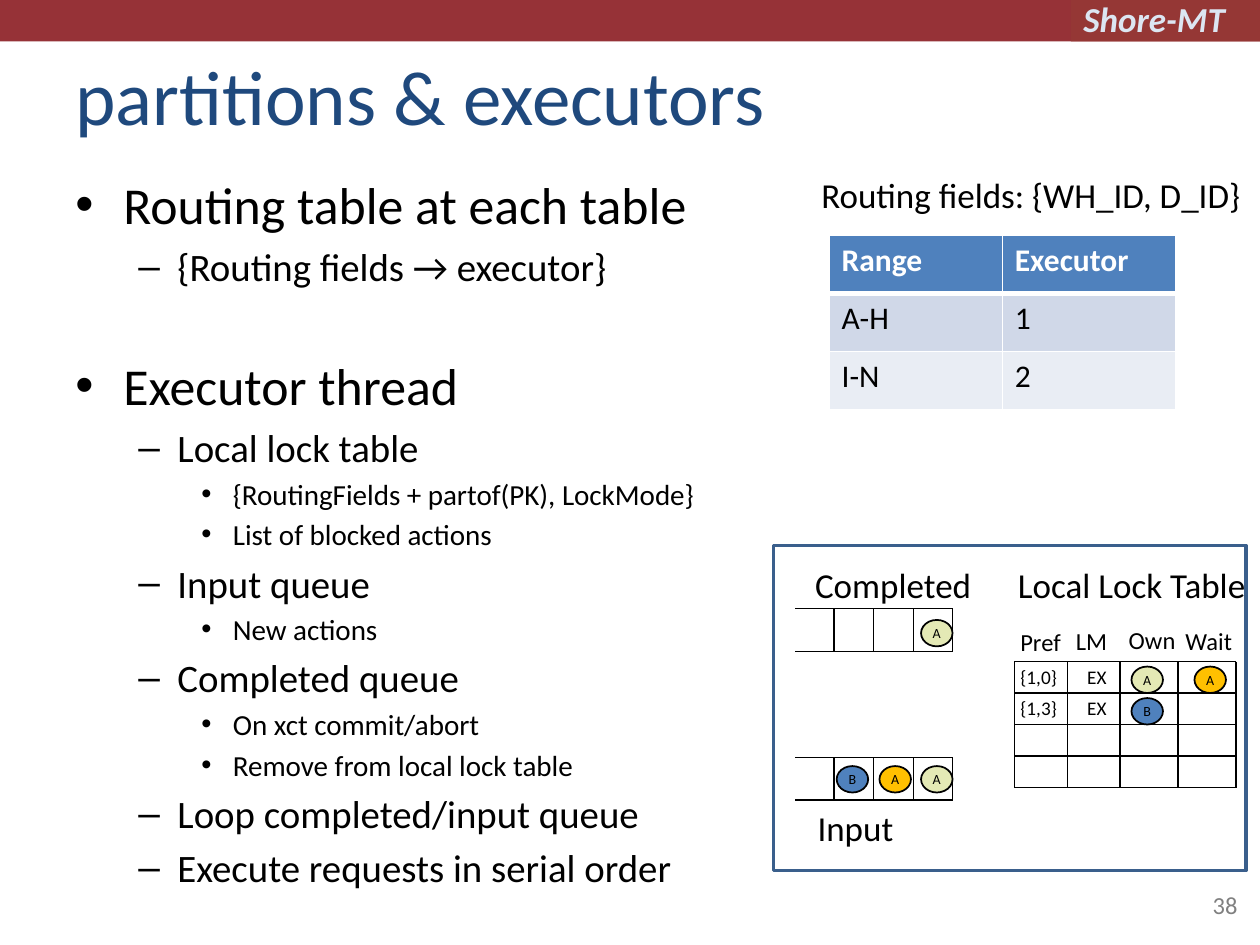
from pptx import Presentation
from pptx.dml.color import RGBColor
from pptx.enum.shapes import MSO_CONNECTOR, MSO_SHAPE
from pptx.enum.text import MSO_ANCHOR, PP_ALIGN
from pptx.oxml.ns import qn
from pptx.util import Inches, Pt
from lxml.etree import SubElement

GREEN, ORANGE, BLUE = "E4E9B5", "FFC000", "4F81BD"
BLACK, WHITE = "000000", "FFFFFF"

# Per outline level: bullet, size, left margin, hanging indent
LEVELS = [("•", 29.6, 0.38, 0.38), ("–", 22.2, 0.81, 0.31), ("•", 16.6, 1.25, 0.25)]
GROUP_GAP = 37

OUTLINE = [
    (0, "Routing table at each table"),
    (1, "{Routing fields → executor}"),
    (0, "Executor thread"),
    (1, "Local lock table"),
    (2, "{RoutingFields + partof(PK), LockMode}"),
    (2, "List of blocked actions"),
    (1, "Input queue"),
    (2, "New actions"),
    (1, "Completed queue"),
    (2, "On xct commit/abort"),
    (2, "Remove from local lock table"),
    (1, "Loop completed/input queue"),
    (1, "Execute requests in serial order"),
]


def color(hex_string):
    return RGBColor.from_string(hex_string)


class SlideBuilder:
    def __init__(self, slide, font="Calibri"):
        self.slide = slide
        self.font = font

    def add_run(self, paragraph, text, size, text_color=BLACK, bold=False, italic=False):
        run = paragraph.add_run()
        run.text = text
        run.font.name = self.font
        run.font.size = Pt(size)
        run.font.bold = bold
        run.font.italic = italic
        run.font.color.rgb = color(text_color)

    def add_text(self, text, left, top, width, height, size, text_color=BLACK, wrap=False,
                 anchor=MSO_ANCHOR.TOP, align=PP_ALIGN.LEFT, bold=False, italic=False):
        box = self.slide.shapes.add_textbox(
            Inches(left), Inches(top), Inches(width), Inches(height))
        frame = box.text_frame
        frame.word_wrap = wrap
        frame.vertical_anchor = anchor
        paragraph = frame.paragraphs[0]
        paragraph.alignment = align
        self.add_run(paragraph, text, size, text_color, bold, italic)

    def add_outline(self, items, left, top, width, height):
        box = self.slide.shapes.add_textbox(
            Inches(left), Inches(top), Inches(width), Inches(height))
        frame = box.text_frame
        frame.word_wrap = True
        for index, (level, text) in enumerate(items):
            bullet, size, margin, hanging = LEVELS[level]
            paragraph = frame.add_paragraph() if index else frame.paragraphs[0]
            paragraph.level = level
            properties = paragraph._p.get_or_add_pPr()
            properties.set("marL", str(Inches(margin)))
            properties.set("indent", str(-Inches(hanging)))
            SubElement(properties, qn("a:buFont"), typeface="Arial")
            SubElement(properties, qn("a:buChar"), char=bullet)
            if index:
                paragraph.space_before = Pt(GROUP_GAP if level == 0 else round(size * 0.2, 1))
            self.add_run(paragraph, text, size)

    def add_shape(self, kind, left, top, width, height, fill=None, line=None, line_width=1):
        shape = self.slide.shapes.add_shape(
            kind, Inches(left), Inches(top), Inches(width), Inches(height))
        shape.shadow.inherit = False
        if fill:
            shape.fill.solid()
            shape.fill.fore_color.rgb = color(fill)
        else:
            shape.fill.background()
        if line:
            shape.line.color.rgb = color(line)
            shape.line.width = Pt(line_width)
        else:
            shape.line.fill.background()
        return shape

    def add_action(self, label, left, top, fill):
        """Draw one action as a small labelled ellipse."""
        ellipse = self.add_shape(MSO_SHAPE.OVAL, left, top, 0.25, 0.21, fill, BLACK)
        frame = ellipse.text_frame
        frame.word_wrap = False
        frame.vertical_anchor = MSO_ANCHOR.MIDDLE
        paragraph = frame.paragraphs[0]
        paragraph.alignment = PP_ALIGN.CENTER
        self.add_run(paragraph, label, 8)

    def add_line(self, x1, y1, x2, y2):
        connector = self.slide.shapes.add_connector(
            MSO_CONNECTOR.STRAIGHT, Inches(x1), Inches(y1), Inches(x2), Inches(y2))
        connector.line.color.rgb = color(BLACK)
        connector.line.width = Pt(0.75)
        SubElement(connector._element.spPr, qn("a:effectLst"))

    def add_grid(self, left, columns, rows):
        """Rule a grid; a left edge outside columns stays open."""
        for y in rows:
            self.add_line(left, y, columns[-1], y)
        for x in columns:
            self.add_line(x, rows[0], x, rows[-1])

    def add_table(self, rows, left, top, column_width, row_height):
        table = self.slide.shapes.add_table(
            len(rows), len(rows[0]), Inches(left), Inches(top),
            Inches(column_width * len(rows[0])), Inches(row_height * len(rows))).table
        fills = [BLUE, "D0D8E8", "E9EDF4"]
        for row_index, row in enumerate(rows):
            table.rows[row_index].height = Inches(row_height)
            for column_index, text in enumerate(row):
                table.columns[column_index].width = Inches(column_width)
                cell = table.cell(row_index, column_index)
                header = row_index == 0
                self.add_run(cell.text_frame.paragraphs[0], text, 18,
                             WHITE if header else BLACK, bold=header)
                self.set_borders(cell, top=3 if row_index == 1 else 1, bottom=3 if header else 1)
                cell.fill.solid()
                cell.fill.fore_color.rgb = color(fills[row_index])

    def set_borders(self, cell, top, bottom):
        properties = cell._tc.get_or_add_tcPr()
        for side, width in (("L", 1), ("R", 1), ("T", top), ("B", bottom)):
            line = SubElement(properties, qn(f"a:ln{side}"), w=str(Pt(width)))
            fill = SubElement(line, qn("a:solidFill"))
            SubElement(fill, qn("a:srgbClr"), val=WHITE)


def main():
    presentation = Presentation()
    presentation.slide_width = Inches(10)
    presentation.slide_height = Inches(7.5)
    builder = SlideBuilder(presentation.slides.add_slide(presentation.slide_layouts[6]))

    # Header band, title and outline
    builder.add_shape(MSO_SHAPE.RECTANGLE, 0, 0, 10, 0.33, "963237")
    builder.add_shape(MSO_SHAPE.RECTANGLE, 8.5, 0, 1.5, 0.33, "953735")
    builder.add_text("Shore-MT", 8.5, -0.07, 1.42, 0.44, 20, "DCE6F2", bold=True, italic=True)
    builder.add_text("partitions & executors", 0.5, 0.3, 9, 0.87, 44, "1F497D",
                     wrap=True, anchor=MSO_ANCHOR.BOTTOM)
    builder.add_outline(OUTLINE, 0.5, 1.32, 7.75, 5.85)

    # Routing table
    builder.add_text("Routing fields: {WH_ID, D_ID}", 6.42, 1.33, 3.54, 0.44, 20)
    builder.add_table([("Range", "Executor"), ("A-H", "1"), ("I-N", "2")],
                      6.58, 1.87, 1.375, 0.46)

    # Executor panel with its two queues
    builder.add_shape(MSO_SHAPE.RECTANGLE, 6.14, 4.33, 3.75, 2.58, line="3A5F8C", line_width=2)
    builder.add_text("Completed", 6.37, 4.42, 1.45, 0.44, 20)
    builder.add_text("Input", 6.39, 6.35, 0.81, 0.44, 20)
    for queue_top in (4.83, 6.01):
        builder.add_grid(6.31, [6.62, 6.93, 7.25, 7.56], [queue_top, queue_top + 0.34])

    # Local lock table
    builder.add_text("Local Lock Table", 7.98, 4.42, 2.02, 0.44, 20)
    builder.add_grid(8.05, [8.05, 8.47, 8.89, 9.35, 9.81], [5.25 + 0.25 * i for i in range(5)])
    for heading, left, top, width in (("Pref", 8, 4.93, 0.53), ("LM", 8.44, 4.92, 0.45),
                                      ("Own", 8.86, 4.91, 0.58), ("Wait", 9.31, 4.92, 0.58)):
        builder.add_text(heading, left, top, width, 0.34, 14)
    for top, prefix in ((5.23, "{1,0}"), (5.48, "{1,3}")):
        builder.add_text(prefix, 8, top, 0.5, 0.29, 11)
        builder.add_text("EX", 8.53, top, 0.36, 0.29, 11)

    for label, left, top, fill in (
            ("A", 7.31, 4.92, GREEN),
            ("A", 7.31, 6.08, GREEN), ("A", 6.98, 6.08, ORANGE), ("B", 6.64, 6.08, BLUE),
            ("A", 8.98, 5.29, GREEN), ("A", 9.48, 5.29, ORANGE), ("B", 8.98, 5.54, BLUE)):
        builder.add_action(label, left, top, fill)

    builder.add_text("38", 9.5, 6.83, 0.42, 0.52, 14, "808080", wrap=True,
                     anchor=MSO_ANCHOR.BOTTOM, align=PP_ALIGN.RIGHT)
    presentation.save("out.pptx")


if __name__ == "__main__":
    main()
